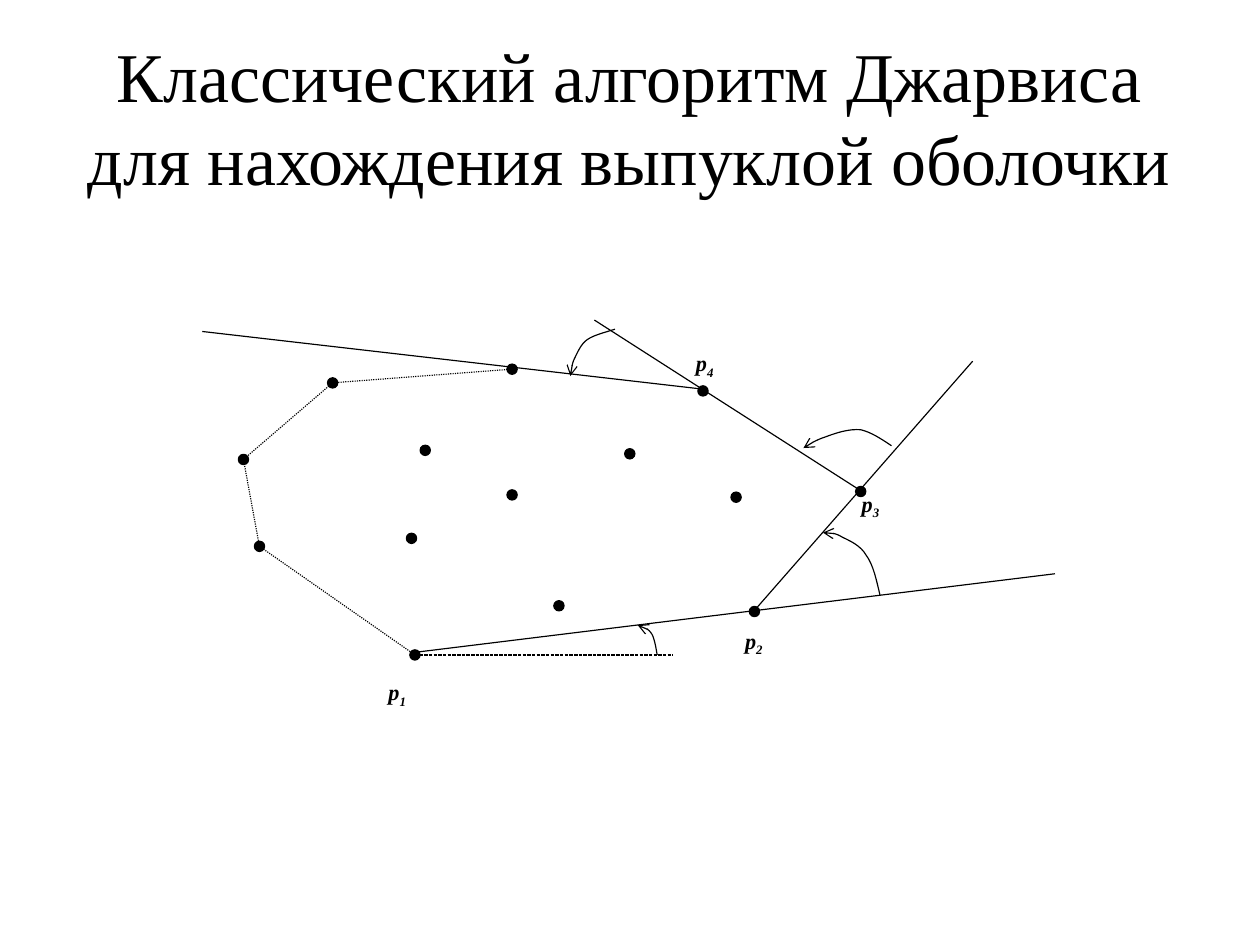
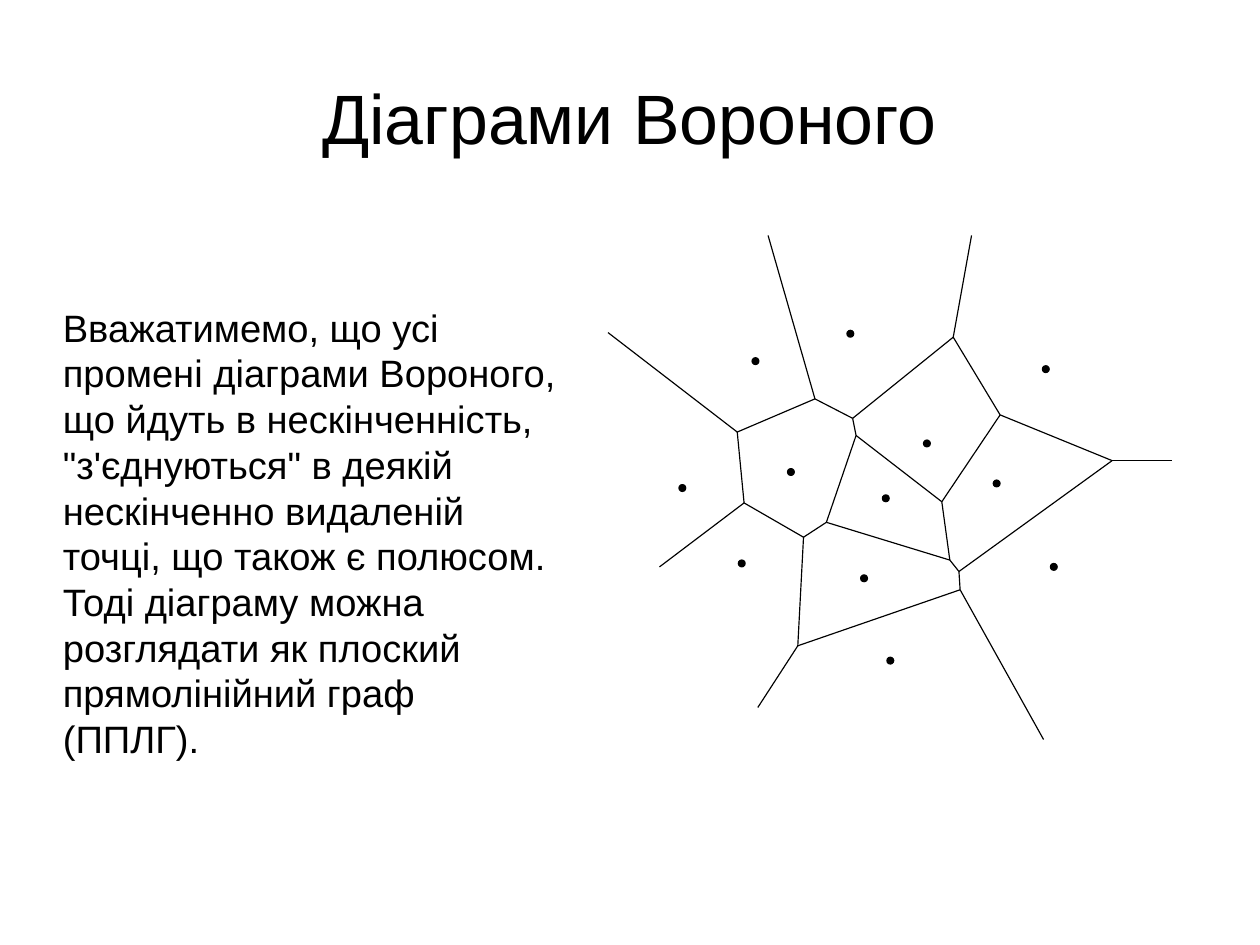
from dataclasses import dataclass

from lxml import etree
from pptx import Presentation
from pptx import util as u
from pptx.dml.color import RGBColor
from pptx.enum import dml, shapes, text
from pptx.oxml.ns import qn


@dataclass(frozen=True)
class Theme:
    ink: RGBColor = RGBColor(0, 0, 0)
    serif: str = "Times New Roman"
    sans: str = "Arial"
    title_size: int = 44
    body_size: int = 24
    label_size: int = 14
    line_width: float = 0.75


theme = Theme()


def stroke(shape, dash=None, arrow=False):
    """Give a shape the thin ink line, without a shadow."""
    shape.line.color.rgb = theme.ink
    shape.line.width = u.Pt(theme.line_width)
    if dash:
        shape.line.dash_style = dash
    if arrow:
        etree.SubElement(shape.line._get_or_add_ln(), qn("a:tailEnd"), type="arrow")
    etree.SubElement(shape._element.spPr, qn("a:effectLst"))


def fill_placeholder(holder, box, content, font_name, size, align):
    """Place a placeholder and write its single paragraph."""
    holder.left, holder.top, holder.width, holder.height = map(u.Inches, box)
    frame = holder.text_frame
    frame.margin_left = frame.margin_right = frame.margin_top = frame.margin_bottom = 0
    frame.word_wrap = True
    frame.auto_size = text.MSO_AUTO_SIZE.NONE
    frame.vertical_anchor = text.MSO_ANCHOR.MIDDLE
    para = frame.paragraphs[0]
    para.alignment = align
    para.space_before = u.Pt(0)
    span = para.add_run()
    span.text = content
    span.font.name = font_name
    span.font.size = u.Pt(size)
    span.font.color.rgb = theme.ink
    return para


# Jarvis march: hull points, inner points and supporting lines
p1, p2, p3, p4 = (3.63, 5.73), (6.6, 5.35), (7.53, 4.3), (6.15, 3.42)
hull_rest = [(4.48, 3.23), (2.91, 3.35), (2.13, 4.02), (2.27, 4.78)]
inner_points = [(4.48, 4.33), (4.89, 5.3), (3.6, 4.71), (6.44, 4.35), (3.72, 3.94), (5.51, 3.97)]
support_lines = [
    ((3.61, 5.71), (9.23, 5.02)),
    ((6.61, 5.33), (8.51, 3.16)),
    ((7.51, 4.28), (5.2, 2.8)),
    ((6.11, 3.4), (1.77, 2.9)),
    (p1, (5.89, 5.73), dml.MSO_LINE.SQUARE_DOT),
]

# Voronoi diagram: sites, vertices, edges by vertex name, and rays
sites = [
    (8.72, 4.23), (7.56, 5.06), (8.11, 3.88), (5.97, 4.27), (6.92, 4.13), (6.61, 3.16),
    (9.22, 4.96), (7.79, 5.78), (9.15, 3.23), (6.49, 4.93), (7.75, 4.36), (7.44, 2.92),
]
vertices = dict(
    A=(6.45, 3.78), B=(7.13, 3.49), C=(7.46, 3.66), D=(8.34, 2.95), E=(8.75, 3.63),
    F=(9.73, 4.03), G=(8.39, 5), H=(8.4, 5.16), I=(8.31, 4.9), J=(7.23, 4.57),
    K=(8.24, 4.39), L=(7.49, 3.81), M=(7.03, 4.7), N=(6.98, 5.65), O=(6.51, 4.4),
)
edges = "AB BC CD DE EF FG GI IJ IK KE CL LK LJ JM MN MO OA NH GH".split()
rays = dict(
    A=(5.32, 2.91), B=(6.72, 2.06), D=(8.5, 2.06), F=(10.25, 4.03),
    H=(9.13, 6.47), O=(5.77, 4.96), N=(6.63, 6.19),
)
voronoi_lines = [(vertices[a], vertices[b]) for a, b in edges]
voronoi_lines += [(vertices[name], end) for name, end in rays.items()]

# Both slides: title, dots and straight lines
deck = Presentation()
deck.slide_width, deck.slide_height = u.Cm(28), u.Cm(21)
TITLE_ONLY, TITLE_AND_BODY = 5, 1
slide_plans = [
    (TITLE_ONLY, "Классический алгоритм Джарвиса для нахождения выпуклой оболочки",
     theme.serif, (0.55, 0.34, 9.92, 1.35),
     [p1, p2, p3, p4] + hull_rest + inner_points, 0.09, support_lines),
    (TITLE_AND_BODY, "Діаграми Вороного",
     theme.sans, (0.55, 0.38, 9.92, 1.28),
     sites, 0.06, voronoi_lines),
]
pages = []
for layout, title, font_name, title_box, dots, diameter, lines in slide_plans:
    page = deck.slides.add_slide(deck.slide_layouts[layout])
    pages.append(page)
    fill_placeholder(page.shapes.title, title_box, title, font_name,
                     theme.title_size, text.PP_ALIGN.CENTER)
    for x, y in dots:
        dot = page.shapes.add_shape(
            shapes.MSO_SHAPE.OVAL, u.Inches(x - diameter / 2), u.Inches(y - diameter / 2),
            u.Inches(diameter), u.Inches(diameter))
        dot.fill.solid()
        dot.fill.fore_color.rgb = theme.ink
        stroke(dot)
    for start, end, *dash in lines:
        line = page.shapes.add_connector(
            shapes.MSO_CONNECTOR.STRAIGHT, *map(u.Inches, start + end))
        stroke(line, *dash)
jarvis_page, voronoi_page = pages

# Turning arrows: each is a chain of cubic curves, start point first
turns = [
    [(5.75, 5.73), (5.74, 5.67), (5.73, 5.61), (5.71, 5.56), (5.69, 5.52), (5.66, 5.5),
     (5.64, 5.49), (5.62, 5.47), (5.6, 5.47), (5.58, 5.47)],
    [(7.7, 5.21), (7.67, 5.08), (7.64, 4.94), (7.58, 4.86), (7.53, 4.77), (7.43, 4.73),
     (7.37, 4.7), (7.31, 4.66), (7.25, 4.66), (7.2, 4.66)],
    [(7.8, 3.9), (7.71, 3.84), (7.62, 3.78), (7.53, 3.76), (7.43, 3.75), (7.31, 3.79),
     (7.23, 3.82), (7.14, 3.85), (7.09, 3.88), (7.03, 3.92)],
    [(5.38, 2.88), (5.29, 2.91), (5.2, 2.93), (5.14, 2.97), (5.08, 3.01), (5.05, 3.09),
     (5.02, 3.15), (5, 3.2), (5, 3.24), (4.99, 3.29)],
]
STEPS = 8
outlines = []
for turn in turns:
    points = [turn[0]]
    for first in range(0, len(turn) - 1, 3):
        controls = turn[first:first + 4]
        for step in range(1, STEPS + 1):
            t = step / STEPS
            weights = ((1 - t) ** 3, 3 * t * (1 - t) ** 2, 3 * t * t * (1 - t), t ** 3)
            points.append(tuple(
                sum(w * control[axis] for w, control in zip(weights, controls))
                for axis in (0, 1)))
    outlines.append((points, None, True))

# Rest of the hull, dotted
outlines.append((hull_rest + [p1], dml.MSO_LINE.ROUND_DOT, False))
for points, dash, arrow in outlines:
    corners = [(u.Inches(x), u.Inches(y)) for x, y in points]
    builder = jarvis_page.shapes.build_freeform(*corners[0])
    builder.add_line_segments(corners[1:], close=False)
    outline = builder.convert_to_shape()
    outline.fill.background()
    stroke(outline, dash, arrow)

# Point labels
label_corners = [(3.3, 5.64), (6.42, 5.19), (7.44, 3.99), (5.99, 2.76)]
for number, (left, top) in enumerate(label_corners, 1):
    label = jarvis_page.shapes.add_textbox(*map(u.Inches, (left, top, 1.02, 0.86)))
    label.text_frame.word_wrap = True
    label.text_frame.vertical_anchor = text.MSO_ANCHOR.MIDDLE
    para = label.text_frame.paragraphs[0]
    for content in ("p", str(number)):
        span = para.add_run()
        span.text = content
        span.font.name = theme.serif
        span.font.size = u.Pt(theme.label_size)
        span.font.bold = span.font.italic = True
        span.font.color.rgb = theme.ink
    span.font._element.set("baseline", "-25000")

# Voronoi explanation
para = fill_placeholder(
    voronoi_page.placeholders[1], (0.55, 1.98, 4.32, 5.36),
    "Вважатимемо, що усі промені діаграми Вороного, що йдуть в нескінченність, "
    "\"з'єднуються\" в деякій нескінченно видаленій точці, що також є полюсом. "
    "Тоді діаграму можна розглядати як плоский прямолінійний граф (ППЛГ).",
    theme.sans, theme.body_size, text.PP_ALIGN.LEFT)
para.space_after = u.Pt(14.2)
properties = para._p.get_or_add_pPr()
properties.set("marL", "0")
properties.set("indent", "0")
etree.SubElement(properties, qn("a:buNone"))

deck.save("out.pptx")
